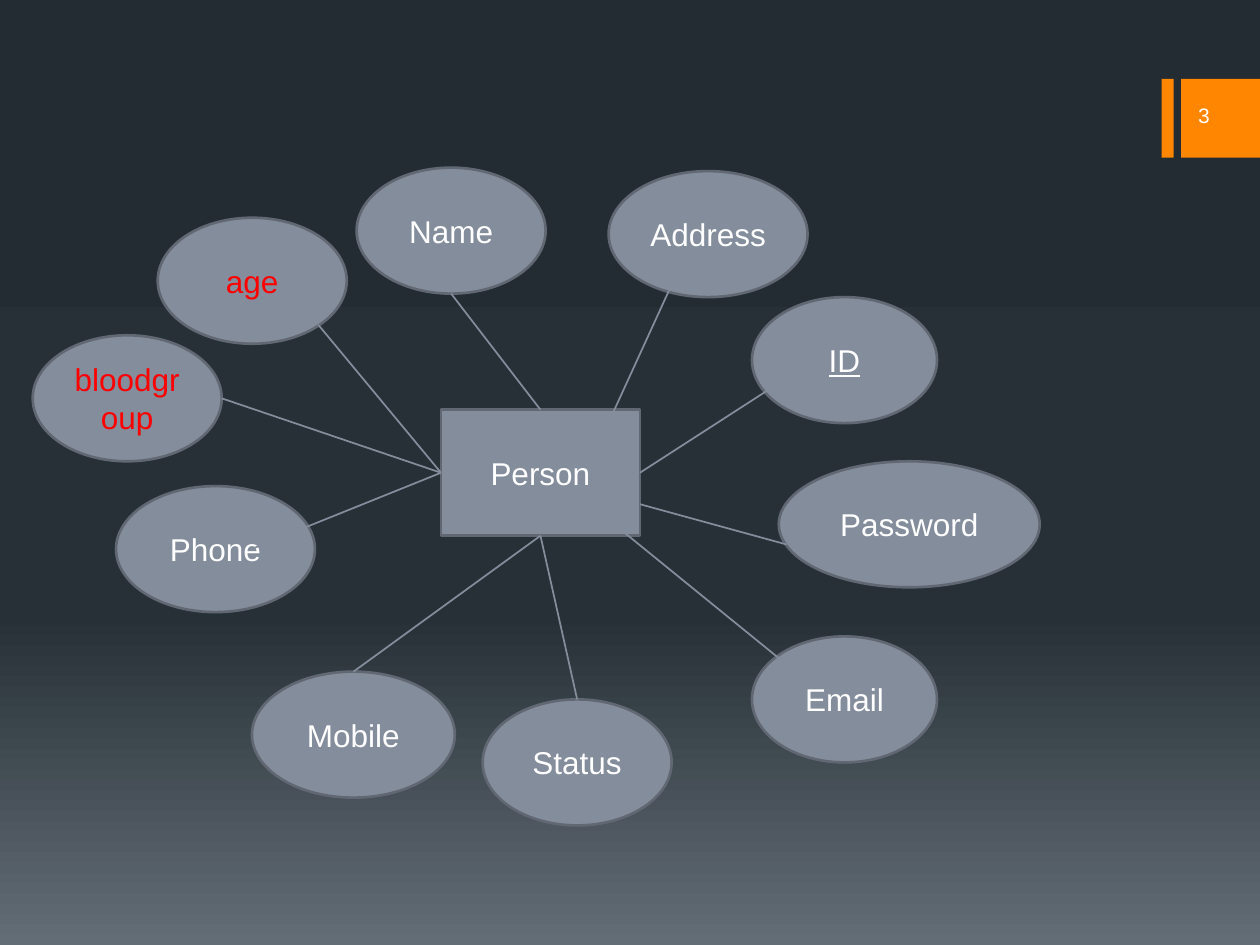
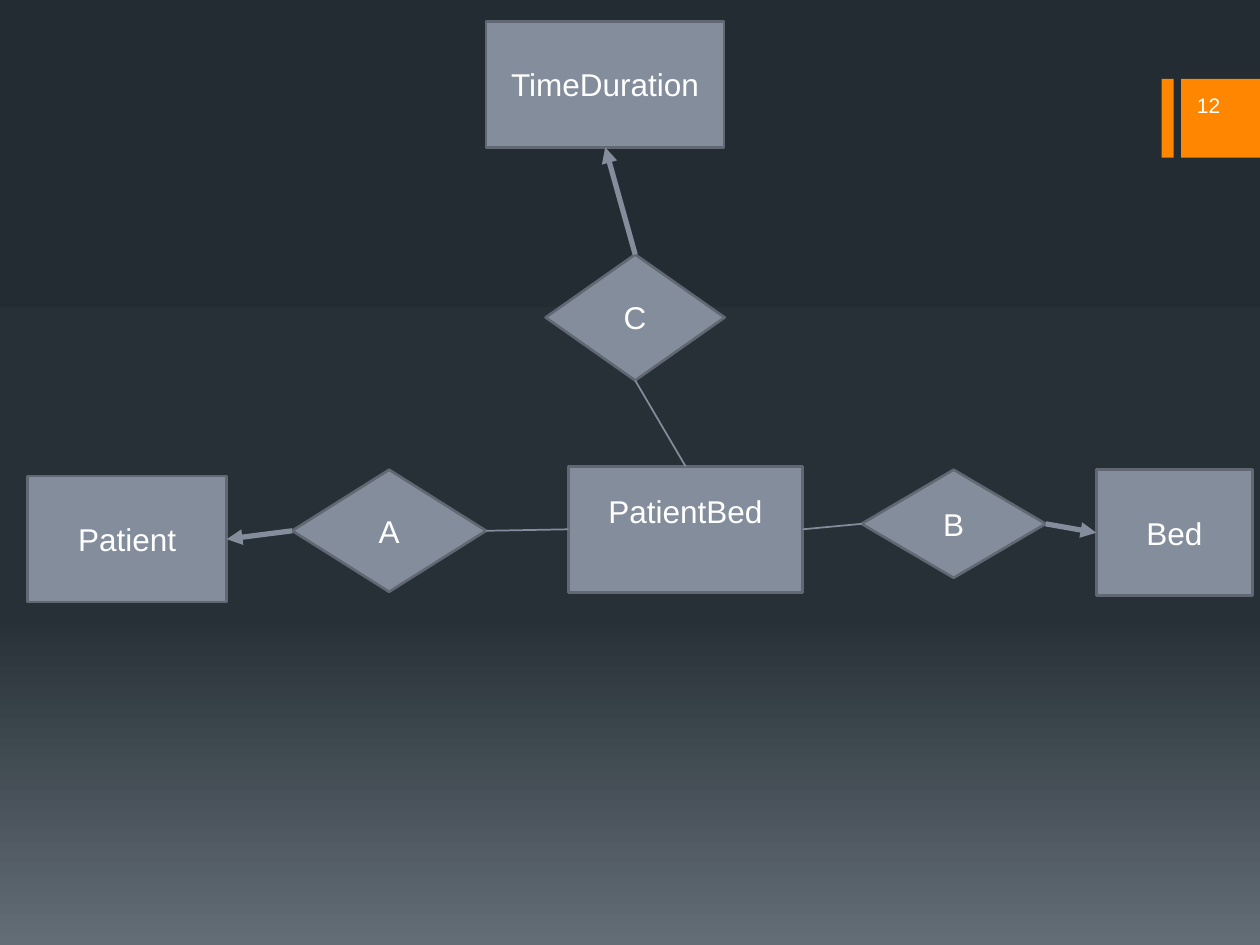
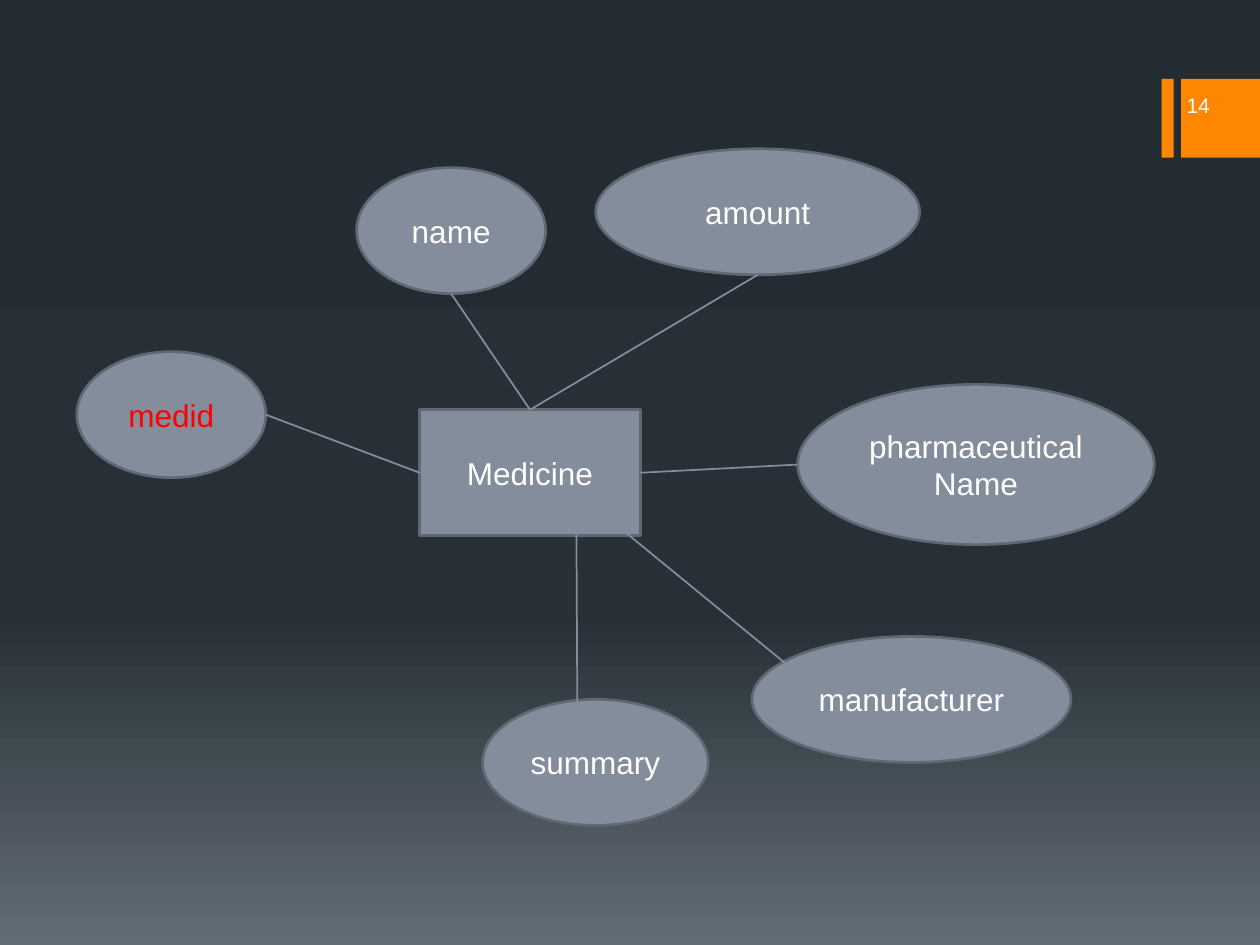
from dataclasses import dataclass
from typing import NamedTuple

from lxml import etree
from pptx import Presentation
from pptx.dml.color import RGBColor
from pptx.enum.shapes import MSO_CONNECTOR, MSO_SHAPE
from pptx.enum.text import MSO_ANCHOR, PP_ALIGN
from pptx.oxml.ns import qn
from pptx.presentation import Presentation as Deck
from pptx.shapes.autoshape import Shape
from pptx.slide import Slide
from pptx.util import Cm, Pt

RECTANGLE = MSO_SHAPE.RECTANGLE
ELLIPSE = MSO_SHAPE.OVAL
DIAMOND = MSO_SHAPE.DIAMOND
STRAIGHT = MSO_CONNECTOR.STRAIGHT
MIDDLE = MSO_ANCHOR.MIDDLE
CENTER, RIGHT_ALIGNED = PP_ALIGN.CENTER, PP_ALIGN.RIGHT


@dataclass(frozen=True)
class Theme:
    font: str = "Arial"
    label_size: float = 18
    number_size: float = 12
    outline_width: float = 1.5
    line_width: float = 1
    arrow_width: float = 3
    text: str = "FFFFFF"
    highlight: str = "FF0000"
    node: str = "838D9B"
    outline: str = "616873"
    accent: str = "FF8600"
    background: tuple[tuple[int, str], ...] = (
        (0, "242C33"), (65, "273037"), (100, "636D76"))


THEME = Theme()


class Anchor(NamedTuple):
    across: float
    down: float


TOP = Anchor(0.5, 0)
BOTTOM = Anchor(0.5, 1)
LEFT = Anchor(0, 0.5)
RIGHT = Anchor(1, 0.5)


@dataclass(frozen=True)
class Node:
    label: str
    left: float
    top: float
    width: float
    height: float = 2.54
    kind: MSO_SHAPE = ELLIPSE
    color: str = THEME.text
    underline: bool = False
    bottom_inset: float = 0.13


class Link(NamedTuple):
    source: str
    source_anchor: Anchor
    target: str
    target_anchor: Anchor
    arrow: bool = False


class PageNumber(NamedTuple):
    text: str
    left: float
    top: float


class Diagram(NamedTuple):
    page: PageNumber
    nodes: list[Node]
    links: list[Link]


class Band(NamedTuple):
    left: float
    width: float


BAND_SIDE = 1.59
BANDS = [Band(23.42, 0.24), Band(23.81, BAND_SIDE)]

PERSON = Diagram(
    PageNumber("3", 22.02, 1.9),
    [
        Node("Person", 8.89, 8.26, 4.01, kind=RECTANGLE),
        Node("Name", 7.19, 3.38, 3.81),
        Node("Address", 12.27, 3.45, 4.01),
        Node("ID", 15.16, 5.99, 3.73, underline=True),
        Node("Email", 15.16, 12.83, 3.73),
        Node("Status", 9.73, 14.1, 3.81),
        Node("Phone", 2.34, 9.8, 4.01),
        Node("Mobile", 5.08, 13.54, 4.09),
        Node("Password", 15.7, 9.3, 5.26),
        Node("age", 3.18, 4.39, 3.81, color=THEME.highlight),
        Node("bloodgroup", 0.66, 6.76, 3.81, color=THEME.highlight),
    ],
    [
        Link("Person", TOP, "Name", BOTTOM),
        Link("Person", Anchor(0.84, 0.11), "Address", Anchor(0.32, 0.89)),
        Link("Person", RIGHT, "ID", Anchor(0.19, 0.64)),
        Link("Person", Anchor(0.84, 0.87), "Email", Anchor(0.31, 0.37)),
        Link("Person", BOTTOM, "Status", TOP),
        Link("Person", BOTTOM, "Mobile", TOP),
        Link("Person", LEFT, "Phone", Anchor(0.68, 0.5)),
        Link("Password", Anchor(0.03, 0.66), "Person", Anchor(1, 0.75)),
        Link("Person", LEFT, "age", Anchor(0.85, 0.85)),
        Link("Person", LEFT, "bloodgroup", RIGHT),
    ],
)

PATIENT_BED = Diagram(
    PageNumber("12", 22.23, 1.7),
    [
        Node("Patient", 0.56, 9.6, 4.01, kind=RECTANGLE),
        Node("Bed", 22.1, 9.47, 3.15, kind=RECTANGLE),
        Node("TimeDuration", 9.8, 0.43, 4.8, kind=RECTANGLE),
        Node("PatientBed", 11.46, 9.4, 4.72, kind=RECTANGLE, bottom_inset=0.86),
        Node("A", 5.89, 9.47, 3.91, 2.46, DIAMOND),
        Node("B", 17.37, 9.47, 3.71, 2.18, DIAMOND),
        Node("C", 11, 5.13, 3.61, kind=DIAMOND),
    ],
    [
        Link("A", LEFT, "Patient", RIGHT, arrow=True),
        Link("B", RIGHT, "Bed", LEFT, arrow=True),
        Link("C", TOP, "TimeDuration", BOTTOM, arrow=True),
        Link("PatientBed", LEFT, "A", RIGHT),
        Link("B", LEFT, "PatientBed", RIGHT),
        Link("PatientBed", TOP, "C", BOTTOM),
    ],
)

MEDICINE = Diagram(
    PageNumber("14", 22.02, 1.7),
    [
        Node("Medicine", 8.46, 8.26, 4.45, kind=RECTANGLE),
        Node("name", 7.19, 3.38, 3.81),
        Node("pharmaceuticalName", 16.08, 7.75, 7.19, 3.23),
        Node("manufacturer", 15.16, 12.83, 6.43),
        Node("summary", 9.73, 14.1, 4.55),
        Node("amount", 12.01, 3, 6.53),
        Node("medid", 1.55, 7.09, 3.81, color=THEME.highlight),
    ],
    [
        Link("Medicine", TOP, "name", BOTTOM),
        Link("Medicine", TOP, "amount", BOTTOM),
        Link("Medicine", Anchor(0.86, 0.87), "manufacturer", Anchor(0.18, 0.37)),
        Link("Medicine", Anchor(0.71, 0.87), "summary", Anchor(0.42, 0.28)),
        Link("pharmaceuticalName", LEFT, "Medicine", RIGHT),
        Link("Medicine", LEFT, "medid", RIGHT),
    ],
)


def rgb(value: str) -> RGBColor:
    return RGBColor.from_string(value)


def set_background(presentation: Deck) -> None:
    master = presentation.slide_master
    fill = master.background.fill
    fill.gradient()
    fill.gradient_angle = 270
    stops = master.element.find(".//" + qn("a:gsLst"))
    for stop in list(stops):
        stops.remove(stop)
    for percent, color in THEME.background:
        stop = etree.SubElement(stops, qn("a:gs"), pos=str(percent * 1000))
        etree.SubElement(stop, qn("a:srgbClr"), val=color)


def write_text(shape: Shape, text: str, size: float, color: str,
               alignment: PP_ALIGN, underline: bool = False) -> None:
    frame = shape.text_frame
    frame.word_wrap = True
    frame.vertical_anchor = MIDDLE
    paragraph = frame.paragraphs[0]
    paragraph.alignment = alignment
    run = paragraph.add_run()
    run.text = text
    run.font.name = THEME.font
    run.font.size = Pt(size)
    run.font.color.rgb = rgb(color)
    if underline:
        run.font.underline = True


def add_filled_shape(slide: Slide, kind: MSO_SHAPE, left: float, top: float,
                     width: float, height: float, color: str) -> Shape:
    shape = slide.shapes.add_shape(kind, Cm(left), Cm(top), Cm(width), Cm(height))
    shape.shadow.inherit = False
    shape.fill.solid()
    shape.fill.fore_color.rgb = rgb(color)
    return shape


def add_bands(slide: Slide) -> None:
    for band in BANDS:
        shape = add_filled_shape(slide, RECTANGLE, band.left, BAND_SIDE,
                                 band.width, BAND_SIDE, THEME.accent)
        shape.line.fill.background()


def add_page_number(slide: Slide, page: PageNumber) -> None:
    box = slide.shapes.add_textbox(Cm(page.left), Cm(page.top), Cm(2.62), Cm(0.84))
    write_text(box, page.text, THEME.number_size, THEME.text, RIGHT_ALIGNED)


def add_node(slide: Slide, node: Node) -> None:
    shape = add_filled_shape(slide, node.kind, node.left, node.top,
                             node.width, node.height, THEME.node)
    shape.line.color.rgb = rgb(THEME.outline)
    shape.line.width = Pt(THEME.outline_width)
    shape.text_frame.margin_bottom = Cm(node.bottom_inset)
    write_text(shape, node.label, THEME.label_size, node.color, CENTER, node.underline)


def anchor_point(node: Node, anchor: Anchor) -> tuple[Cm, Cm]:
    return (Cm(node.left + node.width * anchor.across),
            Cm(node.top + node.height * anchor.down))


def add_link(slide: Slide, link: Link, nodes: dict[str, Node]) -> None:
    start = anchor_point(nodes[link.source], link.source_anchor)
    end = anchor_point(nodes[link.target], link.target_anchor)
    connector = slide.shapes.add_connector(STRAIGHT, *start, *end)
    connector.line.color.rgb = rgb(THEME.node)
    connector.line.width = Pt(THEME.arrow_width if link.arrow else THEME.line_width)
    properties = connector.element.spPr
    if link.arrow:
        etree.SubElement(properties.find(qn("a:ln")), qn("a:tailEnd"), type="triangle")
    etree.SubElement(properties, qn("a:effectLst"))


def add_diagram(presentation: Deck, diagram: Diagram) -> None:
    slide = presentation.slides.add_slide(presentation.slide_layouts[6])
    add_bands(slide)
    add_page_number(slide, diagram.page)
    for node in diagram.nodes:
        add_node(slide, node)
    nodes = {node.label: node for node in diagram.nodes}
    for link in diagram.links:
        add_link(slide, link, nodes)


def main() -> None:
    presentation = Presentation()
    presentation.slide_width = Cm(25.4)
    presentation.slide_height = Cm(19.05)
    set_background(presentation)
    for diagram in (PERSON, PATIENT_BED, MEDICINE):
        add_diagram(presentation, diagram)
    presentation.save("out.pptx")


if __name__ == "__main__":
    main()
